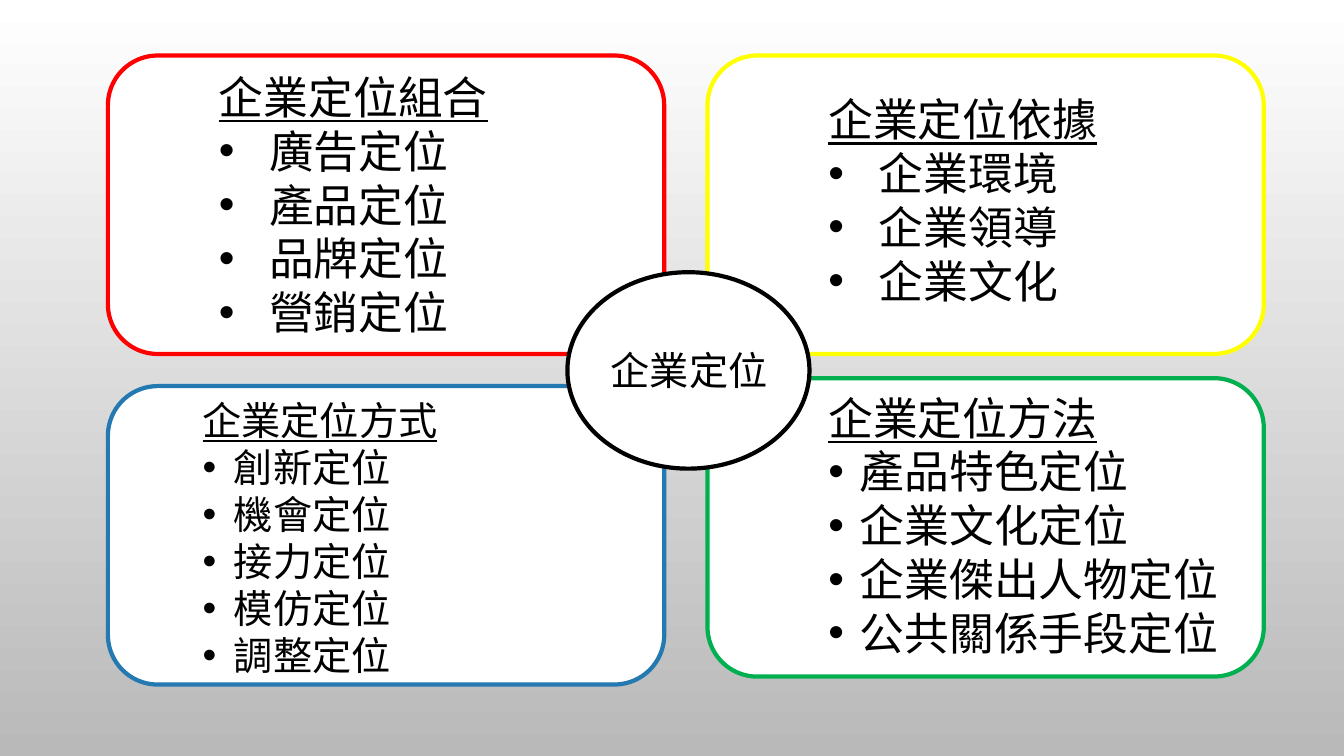
from dataclasses import dataclass

from lxml import etree
from pptx import Presentation
from pptx.dml.color import RGBColor
from pptx.enum.shapes import MSO_SHAPE
from pptx.enum.text import MSO_ANCHOR, MSO_AUTO_SIZE, PP_ALIGN
from pptx.oxml.ns import qn
from pptx.util import Cm, Pt

ROUNDED = MSO_SHAPE.ROUNDED_RECTANGLE
OVAL = MSO_SHAPE.OVAL
TOP = MSO_ANCHOR.TOP
LEFT = PP_ALIGN.LEFT
FIT_TEXT = MSO_AUTO_SIZE.SHAPE_TO_FIT_TEXT

WHITE = RGBColor(0xFF, 0xFF, 0xFF)
GREY = RGBColor(0xB9, 0xB9, 0xB9)
BLACK = RGBColor(0x00, 0x00, 0x00)
RED = RGBColor(0xFF, 0x00, 0x00)
YELLOW = RGBColor(0xFF, 0xFF, 0x00)
BLUE = RGBColor(0x23, 0x79, 0xB0)
GREEN = RGBColor(0x00, 0xB0, 0x50)

FONT = "Cabin"
COMPARISON_LAYOUT = 4
PANEL_WIDTH, PANEL_HEIGHT = 14.02, 7.52
LEFT_COLUMN, RIGHT_COLUMN, TOP_ROW = 2.72, 17.83, 1.4
WIDE_INDENT, NARROW_INDENT = 1.27, 0.79


@dataclass
class Panel:
    box: tuple
    color: RGBColor
    text_box: tuple
    size: int
    indent: float
    heading: str
    items: list


PANELS = [
    Panel((LEFT_COLUMN, TOP_ROW, PANEL_WIDTH, PANEL_HEIGHT), RED,
          (2.54, 0.23, 10.62, 7.09), 32, WIDE_INDENT, "企業定位組合",
          ["廣告定位", "產品定位", "品牌定位", "營銷定位"]),
    Panel((LEFT_COLUMN, 9.73, PANEL_WIDTH, PANEL_HEIGHT), BLUE,
          (2.13, 0.13, 12.55, 7.44), 28, NARROW_INDENT, "企業定位方式",
          ["創新定位", "機會定位", "接力定位", "模仿定位", "調整定位"]),
    Panel((RIGHT_COLUMN, TOP_ROW, PANEL_WIDTH, PANEL_HEIGHT), YELLOW,
          (2.79, 0.79, 9.19, 5.74), 32, WIDE_INDENT, "企業定位依據",
          ["企業環境", "企業領導", "企業文化"]),
    Panel((RIGHT_COLUMN, 9.53, PANEL_WIDTH, PANEL_HEIGHT), GREEN,
          (2.79, 0.18, 10.69, 7.09), 32, NARROW_INDENT, "企業定位方法",
          ["產品特色定位", "企業文化定位", "企業傑出人物定位", "公共關係手段定位"]),
]


def paint_background(slide):
    fill = slide.background.fill
    fill.gradient()
    fill.gradient_angle = 270
    for stop, position, color in zip(fill.gradient_stops, (0, 1), (WHITE, GREY)):
        stop.position = position
        stop.color.rgb = color


def add_outline(slide, kind, box, color):
    shape = slide.shapes.add_shape(kind, *map(Cm, box))
    shape.shadow.inherit = False
    shape.fill.solid()
    shape.fill.fore_color.rgb = WHITE
    shape.line.color.rgb = color
    shape.line.width = Pt(3)


def place_text(slide, placeholder, box, text_box, lines, size):
    slide.shapes._spTree.append(placeholder._element)
    placeholder.left, placeholder.top = Cm(box[0] + text_box[0]), Cm(box[1] + text_box[1])
    placeholder.width, placeholder.height = Cm(text_box[2]), Cm(text_box[3])
    frame = placeholder.text_frame
    frame.text = "\n".join(lines)
    frame.word_wrap = True
    frame.auto_size = FIT_TEXT
    frame.vertical_anchor = TOP
    for paragraph in frame.paragraphs:
        paragraph.alignment = LEFT
        paragraph.line_spacing = 1.0
        paragraph.space_before = paragraph.space_after = Pt(0)
        font = paragraph.runs[0].font
        font.name = FONT
        font.size = Pt(size)
        font.bold = False
        font.color.rgb = BLACK
    return frame.paragraphs


def set_bullet(paragraph, indent, character=None):
    properties = paragraph._p.get_or_add_pPr()
    properties.set("marL", str(Cm(indent)))
    properties.set("indent", str(-Cm(indent)))
    if character:
        etree.SubElement(properties, qn("a:buChar")).set("char", character)
    else:
        etree.SubElement(properties, qn("a:buNone"))


def add_panel(slide, placeholder, panel):
    add_outline(slide, ROUNDED, panel.box, panel.color)
    heading, *items = place_text(slide, placeholder, panel.box, panel.text_box,
                                 [panel.heading, *panel.items], panel.size)
    heading.runs[0].font.underline = True
    set_bullet(heading, 0)
    for item in items:
        set_bullet(item, panel.indent, "•")


def add_center(slide, box):
    add_outline(slide, OVAL, box, BLACK)
    place_text(slide, slide.shapes.title, box, (0.84, 1.75, 4.65, 1.45), ["企業定位"], 28)


def main():
    presentation = Presentation()
    presentation.slide_width, presentation.slide_height = Cm(33.87), Cm(19.05)
    slide = presentation.slides.add_slide(presentation.slide_layouts[COMPARISON_LAYOUT])
    paint_background(slide)
    bodies = list(slide.placeholders)[1:]
    for placeholder, panel in zip(bodies, PANELS):
        add_panel(slide, placeholder, panel)
    add_center(slide, (14.3, 6.86, 6.1, 4.95))
    presentation.save("out.pptx")


if __name__ == "__main__":
    main()
